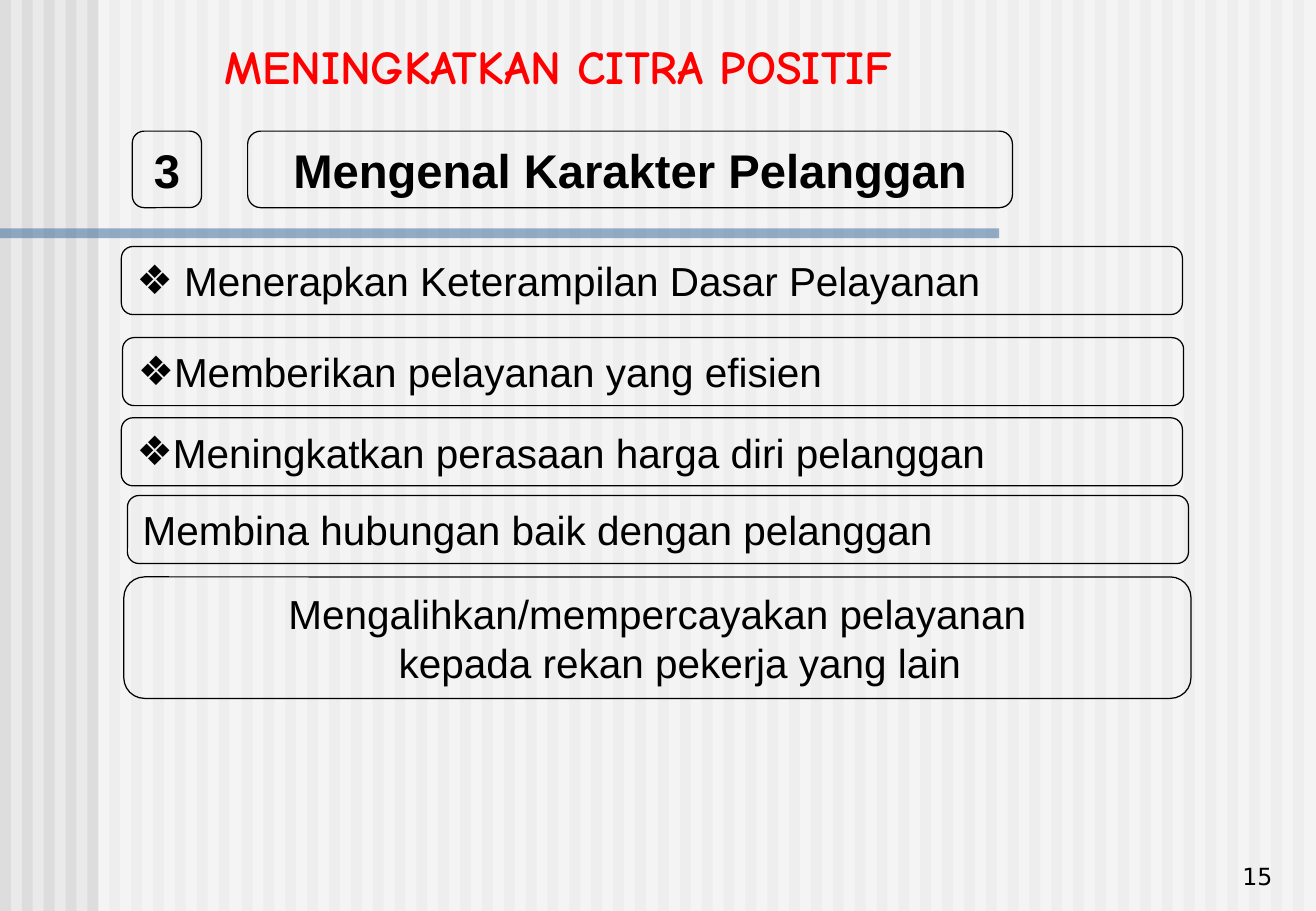
from lxml import etree
from pptx import Presentation
from pptx import util as u
from pptx.dml.color import RGBColor
from pptx.enum import shapes, text
from pptx.oxml.ns import qn

PX = 9144  # 100 px to the inch
ALIGN = text.PP_ALIGN
MIDDLE, BOTTOM = text.MSO_ANCHOR.MIDDLE, text.MSO_ANCHOR.BOTTOM


def rgb(value):
    return RGBColor.from_string(value)


def write(shape, lines, size, align, anchor=MIDDLE, font="Arial", color="000000", bold=False, bullet=False):
    frame = shape.text_frame
    frame.word_wrap = True
    frame.vertical_anchor = anchor
    for i, line in enumerate(lines):
        para = frame.paragraphs[0] if i == 0 else frame.add_paragraph()
        para.alignment = align
        if bullet:
            props = para._p.get_or_add_pPr()
            bullet_color = etree.SubElement(props, qn("a:buClr"))
            etree.SubElement(bullet_color, qn("a:srgbClr"), val=color)
            etree.SubElement(props, qn("a:buFont"), typeface=font)
            etree.SubElement(props, qn("a:buChar"), char="❖")
        run = para.add_run()
        run.text = line
        run.font.size = u.Pt(size)
        run.font.name = font
        run.font.bold = bold
        run.font.color.rgb = rgb(color)


prs = Presentation()
prs.slide_width, prs.slide_height = 1084 * PX, 750 * PX
slide = prs.slides.add_slide(prs.slide_layouts[6])
slide.background.fill.solid()
slide.background.fill.fore_color.rgb = rgb("EAEAEA")

# Striped background, white veil and blue rule
stripes = [(round(18.05 * i), 0, 9, 750, "DDDDDD", 100) for i in range(60)]
veil = (81, 0, 1003, 750, "FFFFFF", 50)
rule = (0, 188, 823, 8, "336699", 50)
for x, y, w, h, color, opacity in stripes + [veil, rule]:
    band = slide.shapes.add_shape(shapes.MSO_SHAPE.RECTANGLE, x * PX, y * PX, w * PX, h * PX)
    band.shadow.inherit = False
    band.fill.solid()
    band.fill.fore_color.rgb = rgb(color)
    band.line.fill.background()
    if opacity < 100:
        tint = band.fill._xPr.find(qn("a:solidFill"))[0]
        etree.SubElement(tint, qn("a:alpha"), val=str(opacity * 1000))

# Slide number and title
number = slide.shapes.add_textbox(832 * PX, 688 * PX, 226 * PX, 50 * PX)
write(number, ["15"], 14, ALIGN.RIGHT, BOTTOM, "DejaVu Sans")
title = slide.shapes.add_textbox(175 * PX, 25 * PX, 729 * PX, 57 * PX)
write(title, ["MENINGKATKAN CITRA POSITIF"], 28, ALIGN.LEFT, BOTTOM, "Comic Neue", "FF0000", True)

# Rounded boxes: heading, then the list of points
heading = dict(size=28, align=ALIGN.CENTER, bold=True)
point = dict(size=24, align=ALIGN.JUSTIFY)
bulleted = dict(point, bullet=True)
closing = dict(size=24, align=ALIGN.CENTER)
boxes = [
    (109, 108, 57, 63, ["3"], heading),
    (204, 108, 630, 63, ["Mengenal Karakter Pelanggan"], heading),
    (100, 203, 874, 56, [" Menerapkan Keterampilan Dasar Pelayanan"], bulleted),
    (101, 278, 874, 56, ["Memberikan pelayanan yang efisien"], bulleted),
    (100, 344, 874, 56, ["Meningkatkan perasaan harga diri pelanggan"], bulleted),
    (105, 408, 874, 56, ["Membina hubungan baik dengan pelanggan"], point),
    (102, 475, 879, 100, ["Mengalihkan/mempercayakan pelayanan", "kepada rekan pekerja yang lain"], closing),
]
for x, y, w, h, lines, style in boxes:
    box = slide.shapes.add_shape(shapes.MSO_SHAPE.ROUNDED_RECTANGLE, x * PX, y * PX, w * PX, h * PX)
    box.shadow.inherit = False
    box.fill.background()
    box.line.color.rgb = rgb("000000")
    box.line.width = u.Pt(0.75)
    box.adjustments[0] = 0.17
    write(box, lines, **style)
    # A second line is set in from the left
    for para in box.text_frame.paragraphs[1:]:
        para._p.get_or_add_pPr().set("marL", str(37 * PX))

prs.save("out.pptx")
